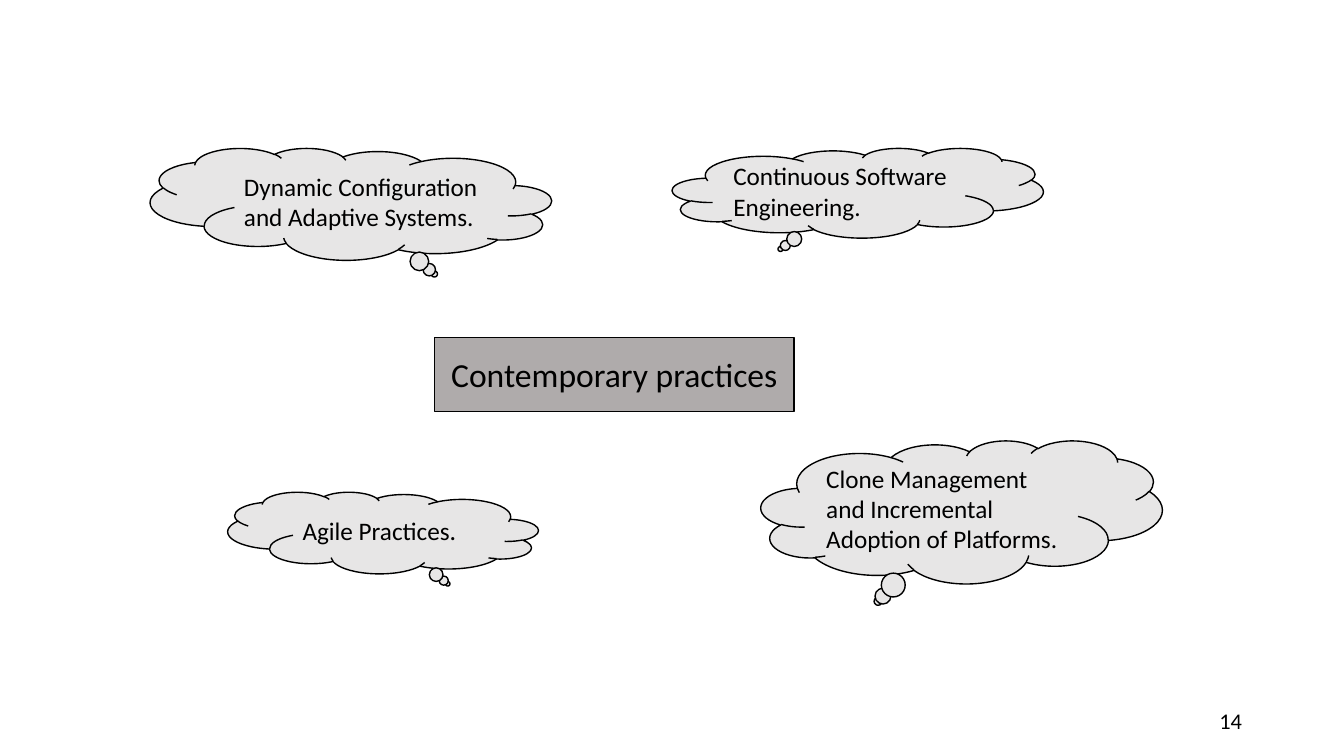
from pptx import Presentation
from pptx.dml.color import RGBColor
from pptx.enum.shapes import MSO_SHAPE
from pptx.enum.text import MSO_ANCHOR, PP_ALIGN
from pptx.util import Pt

COLORS = {"ink": "000000", "cloud": "E7E6E6", "topic": "AFABAB"}
BODY_FONT = "Calibri"
PRACTICES = [
    ((480.2, 105.8, 265, 64.1), False, [("Continuous Software Engineering.", BODY_FONT)]),
    ((107.3, 105.8, 286.6, 79.9), True, [("Dynamic Configuration and Adaptive Systems.", BODY_FONT)]),
    ((543.6, 314.6, 286.6, 102.2), False,
     [("Clone Management and Incremental Adoption of Platforms.", BODY_FONT)]),
    ((162.7, 351.4, 221.8, 58.3), True, [("Agile Practices", BODY_FONT), (".", "Lato")]),
]


def color(name):
    return RGBColor.from_string(COLORS[name])


def write(frame, runs, size, align):
    frame.word_wrap = True
    frame.vertical_anchor = MSO_ANCHOR.MIDDLE
    paragraph = frame.paragraphs[0]
    paragraph.alignment = align
    for text, font in runs:
        run = paragraph.add_run()
        run.text = text
        run.font.name = font
        run.font.size = Pt(size)
        run.font.color.rgb = color("ink")


def outlined(slide, preset, box, fill):
    shape = slide.shapes.add_shape(preset, *map(Pt, box))
    shape.shadow.inherit = False
    shape.fill.solid()
    shape.fill.fore_color.rgb = color(fill)
    shape.line.color.rgb = color("ink")
    shape.line.width = Pt(1)
    return shape


def add_page_number(slide, box, number):
    page_number = slide.shapes.add_textbox(*map(Pt, box))
    write(page_number.text_frame, [(number, BODY_FONT)], 16, PP_ALIGN.RIGHT)


def add_topic(slide, box, title):
    topic = outlined(slide, MSO_SHAPE.RECTANGLE, box, "topic")
    write(topic.text_frame, [(title, BODY_FONT)], 24, PP_ALIGN.CENTER)


def add_practice(slide, box, mirrored, runs):
    cloud = outlined(slide, MSO_SHAPE.CLOUD_CALLOUT, box, "cloud")
    if mirrored:
        cloud.element.spPr.xfrm.set("flipH", "1")
    write(cloud.text_frame, runs, 18, PP_ALIGN.LEFT)


def main():
    deck = Presentation()
    deck.slide_width, deck.slide_height = Pt(960), Pt(540)
    slide = deck.slides.add_slide(deck.slide_layouts[6])
    add_page_number(slide, (678.2, 500.4, 216, 28.8), "14")
    add_topic(slide, (310.3, 241.2, 257, 52.6), "Contemporary practices")
    for box, mirrored, runs in PRACTICES:
        add_practice(slide, box, mirrored, runs)
    deck.save("out.pptx")


if __name__ == "__main__":
    main()
